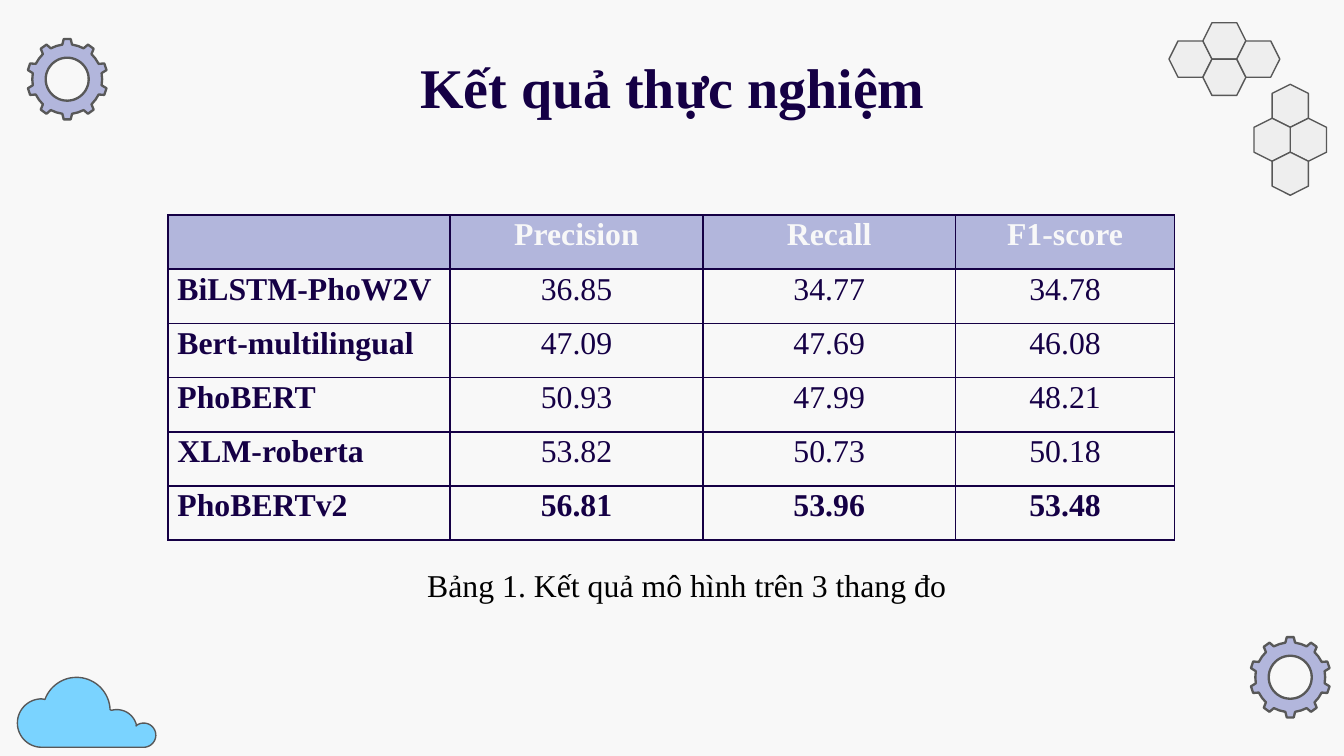
import math

import pptx
import pptx.dml.color
import pptx.enum.shapes
import pptx.enum.text
import pptx.oxml
import pptx.oxml.ns
import pptx.util

Inches = pptx.util.Inches
Pt = pptx.util.Pt
Align = pptx.enum.text.PP_ALIGN
Anchor = pptx.enum.text.MSO_ANCHOR

FONT = "Times New Roman"
NAVY, LILAC, PALE, GREY = "150045", "B2B6DC", "F8F8F8", "585858"
WIDTHS = [2.1, 1.88, 1.88, 1.63]
HEIGHT = 2.42
SCORES = [
    ["", "Precision", "Recall", "F1-score"],
    ["BiLSTM-PhoW2V", "36.85", "34.77", "34.78"],
    ["Bert-multilingual", "47.09", "47.69", "46.08"],
    ["PhoBERT", "50.93", "47.99", "48.21"],
    ["XLM-roberta", "53.82", "50.73", "50.18"],
    ["PhoBERTv2", "56.81", "53.96", "53.48"],
]


def rgb(code):
    """Turn a hex string into a colour."""
    return pptx.dml.color.RGBColor.from_string(code)


def style(frame, size, color, bold=False, align=Align.LEFT, space=None):
    """Format every paragraph and run of a text frame."""
    for para in frame.paragraphs:
        para.alignment = align
        para.line_spacing = space
        for run in para.runs:
            run.font.name = FONT
            run.font.size = Pt(size)
            run.font.bold = bold
            run.font.color.rgb = rgb(color)


def inset(box, side, edge):
    """Set the side and edge margins of a cell or text frame."""
    box.margin_left = box.margin_right = Inches(side)
    box.margin_top = box.margin_bottom = Inches(edge)


def paint(shape, fill, width):
    """Give a shape its fill and grey outline without a shadow."""
    shape.shadow.inherit = False
    shape.fill.solid()
    shape.fill.fore_color.rgb = rgb(fill)
    shape.line.color.rgb = rgb(GREY)
    shape.line.width = Pt(width)


def polar(x, y, radius, angle):
    """Return the point at an angle in degrees around a centre."""
    turn = math.radians(angle)
    return (Inches(x + radius * math.cos(turn)),
            Inches(y + radius * math.sin(turn)))


def arc(x, y, radius, start, end, steps=30):
    """Return points along a circular arc."""
    return [polar(x, y, radius, start + (end - start) * i / steps)
            for i in range(steps + 1)]


def outline(slide, loops, fill, width):
    """Draw one freeform from closed loops of points."""
    first, *rest = loops
    pen = slide.shapes.build_freeform(*first[0])
    pen.add_line_segments(first[1:], close=True)
    for loop in rest:
        pen.move_to(*loop[0])
        pen.add_line_segments(loop[1:], close=True)
    paint(pen.convert_to_shape(), fill, width)


def add_gear(slide, x, y):
    """Draw a ten-tooth gear with a round hole."""
    tooth = [(0.26, -8), (0.3, -5), (0.3, 5), (0.26, 8), (0.26, 18)]
    rim = [polar(x, y, radius, 36 * i - 90 + turn)
           for i in range(10) for radius, turn in tooth]
    outline(slide, [rim, arc(x, y, 0.16, 360, 0, 48)], LILAC, 1.25)


def add_cloud(slide):
    """Draw a cloud from four arcs on a flat base."""
    edge = (arc(0.31, 5.38, 0.18, 90, 270)
            + arc(0.57, 5.29, 0.25, 200, 358)
            + arc(0.87, 5.43, 0.15, 255, 348)
            + arc(1.07, 5.47, 0.09, 230, 450))
    outline(slide, [edge], "7AD3FF", 0.75)


def add_comb(slide, x, y, turn):
    """Draw four hexagons around a centre, upright or turned by 90."""
    wide, high = 0.32, 0.27
    far, near = wide - high / 4, high / 2
    for dx, dy in [(-far, 0), (0, -near), (0, near), (far, 0)]:
        if turn:
            dx, dy = -dy, dx
        cell = slide.shapes.add_shape(
            pptx.enum.shapes.MSO_SHAPE.HEXAGON,
            Inches(x + dx - wide / 2), Inches(y + dy - high / 2),
            Inches(wide), Inches(high))
        cell.rotation = turn
        paint(cell, "EEEEEE", 0.75)


def add_title(slide, text):
    """Place and format the title."""
    title = slide.shapes.title
    title.left, title.top = Inches(0.79), Inches(0.29)
    title.width, title.height = Inches(8.43), Inches(0.63)
    frame = title.text_frame
    frame.text = text
    frame.word_wrap = True
    frame.auto_size = pptx.enum.text.MSO_AUTO_SIZE.NONE
    frame.vertical_anchor = Anchor.TOP
    inset(frame, 0.1, 0.1)
    style(frame, 30, NAVY, True, Align.CENTER)


def border(cell):
    """Draw navy lines on all four sides of a cell."""
    props = cell._tc.get_or_add_tcPr()
    space = pptx.oxml.ns.nsdecls("a")
    for i, side in enumerate(["lnL", "lnR", "lnT", "lnB"]):
        props.insert(i, pptx.oxml.parse_xml(
            f'<a:{side} {space} w="12700"><a:solidFill>'
            f'<a:srgbClr val="{NAVY}"/></a:solidFill></a:{side}>'))


def add_scores(slide):
    """Build the table of scores."""
    table = slide.shapes.add_table(
        len(SCORES), len(WIDTHS), Inches(1.25), Inches(1.6),
        Inches(sum(WIDTHS)), Inches(HEIGHT)).table
    table.horz_banding = False
    for col, width in zip(table.columns, WIDTHS):
        col.width = Inches(width)
    last = len(SCORES) - 1
    for i, row in enumerate(SCORES):
        for j, text in enumerate(row):
            cell = table.cell(i, j)
            cell.text_frame.text = text
            inset(cell, 0.07, 0)
            if i == 0:
                cell.fill.solid()
                cell.fill.fore_color.rgb = rgb(LILAC)
            else:
                cell.fill.background()
            border(cell)
            style(cell.text_frame, 17, NAVY if i else PALE,
                  i in (0, last) or j == 0,
                  Align.CENTER if j else Align.JUSTIFY, 1.07)


def add_note(slide, text):
    """Add the table caption."""
    box = slide.shapes.add_textbox(
        Inches(3.08), Inches(4.16), Inches(4.45), Inches(0.39))
    box.text_frame.text = text
    box.text_frame.word_wrap = True
    style(box.text_frame, 17, "000000")


def main():
    """Build and save the slide."""
    deck = pptx.Presentation()
    deck.slide_width = Inches(10)
    deck.slide_height = deck.slide_width * 9 // 16
    slide = deck.slides.add_slide(deck.slide_layouts[5])
    slide.background.fill.solid()
    slide.background.fill.fore_color.rgb = rgb(PALE)
    add_cloud(slide)
    add_comb(slide, 9.6, 1.04, 90)
    add_gear(slide, 9.6, 5.04)
    add_comb(slide, 9.11, 0.44, 0)
    add_gear(slide, 0.5, 0.59)
    add_title(slide, "Kết quả thực nghiệm")
    add_scores(slide)
    add_note(slide, "Bảng 1. Kết quả mô hình trên 3 thang đo")
    deck.save("out.pptx")


if __name__ == "__main__":
    main()
